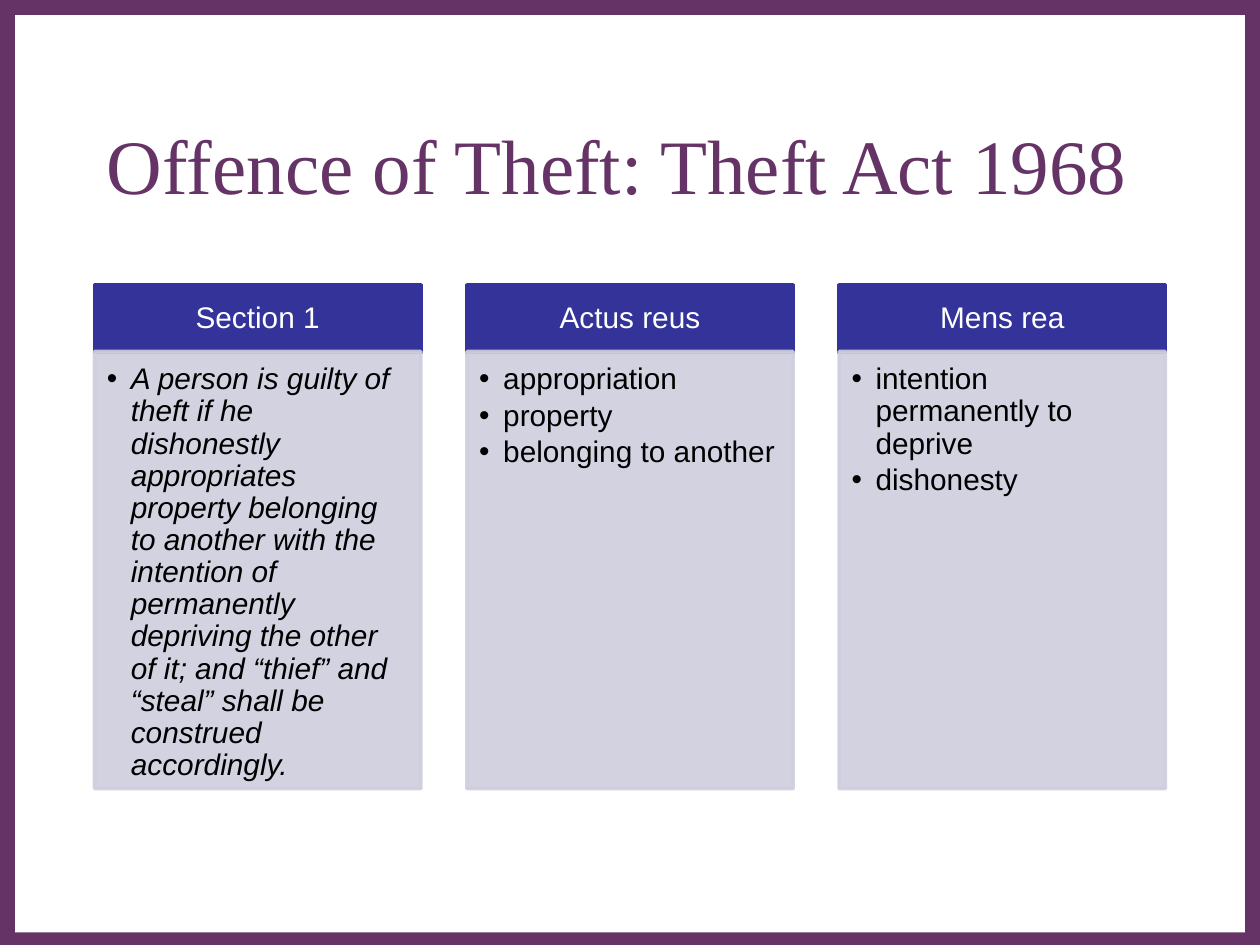
from dataclasses import dataclass

from lxml import etree
from pptx import Presentation
from pptx.dml.color import RGBColor as Rgb
from pptx.enum.shapes import MSO_SHAPE as Shape
from pptx.enum.text import MSO_ANCHOR as Anchor, PP_ALIGN as Align
from pptx.oxml.ns import qn
from pptx.util import Inches, Pt


@dataclass(frozen=True)
class Theme:
    plum: Rgb = Rgb.from_string("663366")
    white: Rgb = Rgb.from_string("FFFFFF")
    black: Rgb = Rgb.from_string("000000")
    indigo: Rgb = Rgb.from_string("333399")
    lavender: Rgb = Rgb.from_string("CECEDE")
    title_font: str = "Times New Roman"
    body_font: str = "Arial"
    title_size: Pt = Pt(44)
    body_size: Pt = Pt(17)
    edge: Pt = Pt(2)


def set_all(target, values):
    for name, value in values.items():
        setattr(target, name, value)


def make_translucent(paint, percent):
    """Set the opacity of every solid colour under an XML element."""
    for color in paint.iter(qn("a:srgbClr")):
        etree.SubElement(color, qn("a:alpha"), val=str(percent * 1000))


class SlideBuilder:
    def __init__(self, page, theme):
        self.page = page
        self.theme = theme

    def rectangle(self, left, top, width, height, fill, edge=None):
        box = self.page.shapes.add_shape(
            Shape.RECTANGLE, Inches(left), Inches(top), Inches(width), Inches(height))
        box.shadow.inherit = False
        box.fill.solid()
        box.fill.fore_color.rgb = fill
        if edge:
            box.line.color.rgb = fill
            box.line.width = edge
        else:
            box.line.fill.background()
        return box

    def frame(self, box, anchor, insets):
        names = ("margin_left", "margin_top", "margin_right", "margin_bottom")
        margins = {name: Inches(inset) for name, inset in zip(names, insets)}
        set_all(box.text_frame, {"word_wrap": True, "vertical_anchor": anchor, **margins})
        return box.text_frame

    def add_text(self, para, text, color, font, size, italic=False):
        span = para.add_run()
        span.text = text
        set_all(span.font, {"name": font, "size": size, "italic": italic})
        span.font.color.rgb = color

    def title(self, text, left, top, width, height):
        box = self.page.shapes.add_textbox(
            Inches(left), Inches(top), Inches(width), Inches(height))
        frame = self.frame(box, Anchor.MIDDLE, (0.1, 0.05, 0.1, 0.05))
        self.add_text(frame.paragraphs[0], text, self.theme.plum,
                      self.theme.title_font, self.theme.title_size)

    def heading(self, text, left, top, width, height):
        theme = self.theme
        box = self.rectangle(left, top, width, height, theme.indigo, theme.edge)
        para = self.frame(box, Anchor.MIDDLE, (0.13, 0.08, 0.13, 0.08)).paragraphs[0]
        set_all(para, {"alignment": Align.CENTER, "line_spacing": 0.9})
        self.add_text(para, text, theme.white, theme.body_font, theme.body_size)

    def bullet_panel(self, items, italic, left, top, width, height):
        theme = self.theme
        box = self.rectangle(left, top, width, height, theme.lavender, theme.edge)
        make_translucent(box.element.spPr, 90)
        frame = self.frame(box, Anchor.TOP, (0.1, 0.1, 0.13, 0.15))
        for index, item in enumerate(items):
            para = frame.paragraphs[0] if index == 0 else frame.add_paragraph()
            self.add_bullet(para)
            set_all(para, {"alignment": Align.LEFT, "line_spacing": 0.9,
                           "space_after": Pt(2.5)})
            self.add_text(para, item, theme.black, theme.body_font, theme.body_size, italic)

    def add_bullet(self, para):
        indent = Inches(0.19)
        properties = para._p.get_or_add_pPr()
        properties.set("marL", str(indent))
        properties.set("indent", str(-indent))
        etree.SubElement(properties, qn("a:buFont"), typeface=self.theme.body_font)
        etree.SubElement(properties, qn("a:buChar"), char="•")


COLUMNS = [
    ("Section 1", True, [
        "A person is guilty of theft if he dishonestly appropriates property "
        "belonging to another with the intention of permanently depriving the "
        "other of it; and “thief” and “steal” shall be construed accordingly."]),
    ("Actus reus", False, ["appropriation", "property", "belonging to another"]),
    ("Mens rea", False, ["intention permanently to deprive", "dishonesty"]),
]


def main():
    deck = Presentation()
    deck.slide_width, deck.slide_height = Inches(10), Inches(7.5)
    theme = Theme()
    builder = SlideBuilder(deck.slides.add_slide(deck.slide_layouts[6]), theme)

    builder.rectangle(0, 0, 10, 7.5, theme.plum)
    builder.rectangle(0.12, 0.12, 9.76, 7.28, theme.white)
    builder.title("Offence of Theft: Theft Act 1968", 0.75, 0.67, 8.5, 1.25)

    margin, content_width, column_width = 0.75, 8.5, 2.59
    pitch = (content_width - column_width) / (len(COLUMNS) - 1)
    for index, (heading, italic, items) in enumerate(COLUMNS):
        left = margin + index * pitch
        builder.heading(heading, left, 2.26, column_width, 0.54)
        builder.bullet_panel(items, italic, left, 2.79, column_width, 3.47)

    deck.save("out.pptx")


if __name__ == "__main__":
    main()
